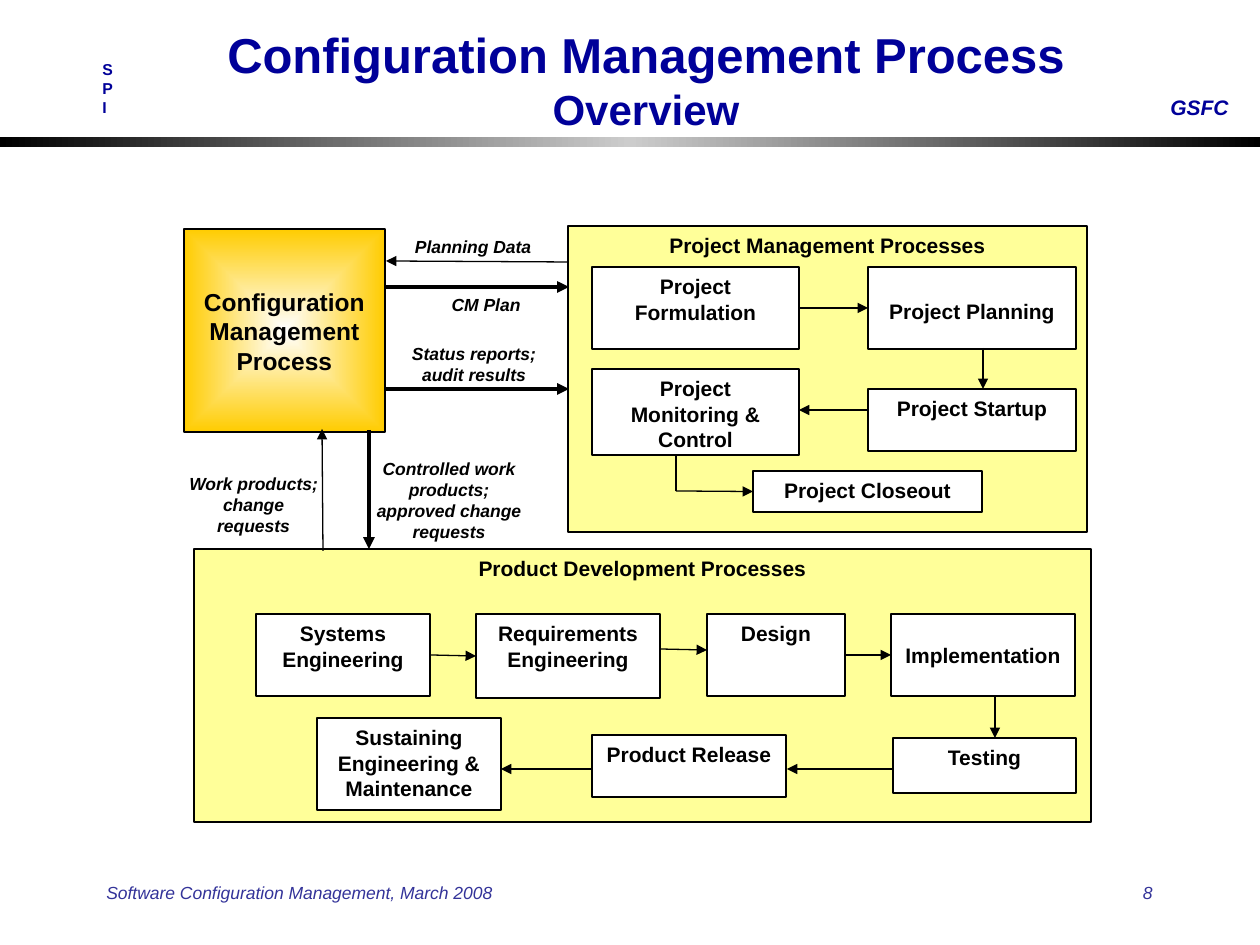
from lxml import etree
from pptx import Presentation
from pptx import util as u
from pptx.dml import color
from pptx.enum import shapes, text
from pptx.oxml import ns

SCALE = u.Inches(1) / 126
BLACK, WHITE, NAVY, INDIGO, YELLOW = "000000", "FFFFFF", "000099", "333399", "FFFF99"
LEFT, CENTER, RIGHT = text.PP_ALIGN.LEFT, text.PP_ALIGN.CENTER, text.PP_ALIGN.RIGHT
TOP, MIDDLE = text.MSO_ANCHOR.TOP, text.MSO_ANCHOR.MIDDLE

LABELS = [
    ("Work products; change requests", 174, 466, 159, 71),
    ("Controlled work products; approved change requests", 355, 451, 188, 84),
    ("Status reports; audit results", 386, 336, 176, 60),
    ("CM Plan", 426, 287, 120, 42),
    ("Planning Data", 389, 229, 168, 42),
]
PANELS = [
    ("Project Management Processes", 568, 226, 519, 306),
    ("Product Development Processes", 194, 549, 897, 273),
]
STEPS = [
    ("Project Formulation", 592, 267, 207, 82),
    ("Project Monitoring & Control", 592, 369, 207, 86),
    ("Project Startup", 868, 389, 208, 62),
    ("Project Closeout", 753, 471, 229, 41),
    ("Systems Engineering", 256, 614, 174, 82),
    ("Requirements Engineering", 476, 614, 184, 84),
    ("Design", 707, 614, 138, 82),
    ("Testing", 893, 738, 183, 55),
    ("Product Release", 592, 735, 194, 62),
    ("Sustaining Engineering & Maintenance", 317, 718, 184, 92),
]
JOINED_STEPS = [
    ("Project Formulation", "Project Planning"),
    ("Systems Engineering", "Requirements Engineering"),
    ("Design", "Implementation"),
]
THIN_ARROWS = [
    (983, 348, 983, 389),
    (868, 410, 799, 410),
    (661, 649, 707, 650),
    (995, 696, 995, 738),
    (893, 769, 787, 769),
    (592, 769, 501, 769),
    (568, 262, 386, 261),
    (323, 551, 322, 429),
]
THICK_ARROWS = [
    (385, 287, 569, 287),
    (385, 389, 569, 389),
    (369, 430, 369, 549),
]


def px(*lengths):
    """Turn lengths in px into EMU."""
    return [u.Emu(round(length * SCALE)) for length in lengths]


def rgb(value):
    """Return the colour of a hex string."""
    return color.RGBColor.from_string(value)


def style_font(font, size, value, bold=True, italic=False):
    """Format one font."""
    font.name = "Arial"
    font.size = u.Pt(size)
    font.bold = bold
    font.italic = italic
    font.color.rgb = rgb(value)


def write(shape, wording, size, value=BLACK, bold=True, italic=False,
          align=CENTER, anchor=TOP, inset=7):
    """Write formatted text into a shape."""
    frame = shape.text_frame
    frame.text = wording
    frame.word_wrap = True
    frame.vertical_anchor = anchor
    frame.margin_top = px(inset)[0]
    for paragraph in frame.paragraphs:
        paragraph.alignment = align
        for run in paragraph.runs:
            style_font(run.font, size, value, bold, italic)


def add_text(slide, box, wording, size, value, **options):
    """Add a text box."""
    write(slide.shapes.add_textbox(*px(*box)), wording, size, value, **options)


def add_box(slide, box, fill=None, line_width=None):
    """Add a rectangle with an optional fill and black outline."""
    shape = slide.shapes.add_shape(shapes.MSO_SHAPE.RECTANGLE, *px(*box))
    shape.shadow.inherit = False
    if fill:
        shape.fill.solid()
        shape.fill.fore_color.rgb = rgb(fill)
    if line_width:
        shape.line.color.rgb = rgb(BLACK)
        shape.line.width = u.Pt(line_width)
    else:
        shape.line.fill.background()
    return shape


def add_step(slide, wording, *box, fill=WHITE, **options):
    """Add an outlined process box with its name."""
    shape = add_box(slide, box, fill, 0.75)
    write(shape, wording, 12, **options)
    return shape


def fill_gradient(shape, stops, centred=False):
    """Fill a shape with a horizontal or centred rectangular gradient."""
    shape.fill.gradient()
    gradient = shape._element.spPr.find(ns.qn("a:gradFill"))
    for child in list(gradient):
        gradient.remove(child)
    stop_list = etree.SubElement(gradient, ns.qn("a:gsLst"))
    for position, value in stops:
        stop = etree.SubElement(stop_list, ns.qn("a:gs"), pos=str(position * 1000))
        etree.SubElement(stop, ns.qn("a:srgbClr"), val=value)
    if centred:
        route = etree.SubElement(gradient, ns.qn("a:path"), path="rect")
        etree.SubElement(route, ns.qn("a:fillToRect"), {side: "50000" for side in "ltrb"})
    else:
        etree.SubElement(gradient, ns.qn("a:lin"), ang="0", scaled="0")


def add_line(slide, ends, width=0.75, arrow=True):
    """Add a straight black line, with an arrowhead at its end by default."""
    line = slide.shapes.add_connector(shapes.MSO_CONNECTOR.STRAIGHT, *px(*ends))
    line.line.color.rgb = rgb(BLACK)
    line.line.width = u.Pt(width)
    if arrow:
        etree.SubElement(line.line._get_or_add_ln(), ns.qn("a:tailEnd"), type="triangle")
    etree.SubElement(line._element.spPr, ns.qn("a:effectLst"))
    return line


def add_title(slide):
    """Fill the title placeholder with its two lines."""
    title = slide.shapes.title
    title.left, title.top, title.width, title.height = px(147, 42, 998, 73)
    write(title, "Configuration Management Process\vOverview", 28, NAVY, anchor=MIDDLE)
    title.text_frame.auto_size = text.MSO_AUTO_SIZE.NONE
    title.text_frame.paragraphs[0].runs[1].font.size = u.Pt(24)


def add_frame(slide):
    """Add the header band, the marks and the footer."""
    band = add_box(slide, (0, 137, 1260, 10))
    fill_gradient(band, [(0, BLACK), (50, "CCCCCC"), (100, BLACK)])
    add_text(slide, (1158, 88, 100, 38), "GSFC", 12, NAVY, italic=True, align=LEFT)
    add_text(slide, (90, 53, 40, 69), "S\nP\nI", 9, NAVY, align=LEFT)
    footer = {"bold": False, "italic": True, "anchor": MIDDLE}
    add_text(slide, (94, 861, 577, 63), "Software Configuration Management, March 2008",
             10, INDIGO, align=LEFT, **footer)
    add_text(slide, (903, 861, 262, 63), "8", 10, INDIGO, align=RIGHT, **footer)


def add_diagram(slide):
    """Add the labels, panels, process boxes and arrows."""
    for wording, *box in LABELS:
        write(add_box(slide, box, WHITE), wording, 10, italic=True)
    for wording, *box in PANELS:
        add_step(slide, wording, *box, fill=YELLOW)
    steps = {step[0]: add_step(slide, *step) for step in STEPS}
    steps["Project Planning"] = add_step(
        slide, "Project Planning", 868, 267, 208, 82, inset=32)
    steps["Implementation"] = add_step(
        slide, "Implementation", 891, 614, 184, 82, anchor=MIDDLE)

    process = add_box(slide, (184, 229, 201, 203), line_width=1)
    fill_gradient(process, [(0, WHITE), (100, "FFCC00")], centred=True)
    write(process, "Configuration Management Process", 14, anchor=MIDDLE)

    for start, end in JOINED_STEPS:
        arrow = add_line(slide, (0, 0, 0, 0))
        arrow.begin_connect(steps[start], 3)
        arrow.end_connect(steps[end], 1)
    add_line(slide, (676, 455, 676, 491), arrow=False)
    add_line(slide, (676, 491, 753, 491)).end_connect(steps["Project Closeout"], 1)
    for ends in THIN_ARROWS:
        add_line(slide, ends)
    for ends in THICK_ARROWS:
        add_line(slide, ends, 2.25)


def main():
    """Build the slide and save it."""
    presentation = Presentation()
    presentation.slide_width, presentation.slide_height = px(1260, 945)
    slide = presentation.slides.add_slide(presentation.slide_layouts[5])
    add_frame(slide)
    add_title(slide)
    add_diagram(slide)
    presentation.save("out.pptx")


if __name__ == "__main__":
    main()
